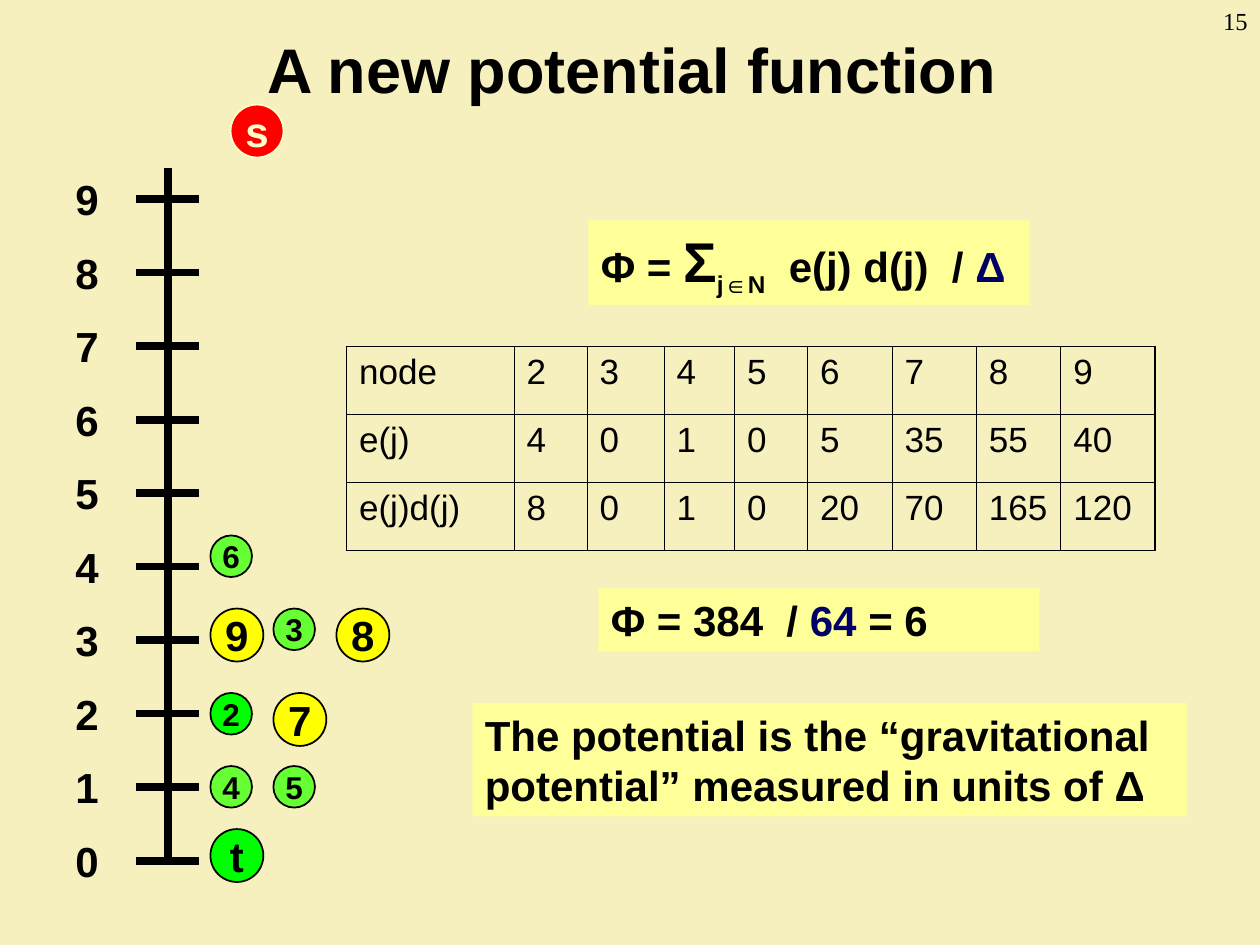
from dataclasses import dataclass

import pptx
import pptx.dml.color
import pptx.enum.shapes
import pptx.enum.text
import pptx.oxml
import pptx.oxml.ns
import pptx.util

Inches = pptx.util.Inches
Pt = pptx.util.Pt
RGBColor = pptx.dml.color.RGBColor
PP_ALIGN = pptx.enum.text.PP_ALIGN
MSO_ANCHOR = pptx.enum.text.MSO_ANCHOR
MSO_SHAPE = pptx.enum.shapes.MSO_SHAPE

BACKGROUND = RGBColor(0xF5, 0xF0, 0xBD)
BLACK = RGBColor(0x00, 0x00, 0x00)
NAVY = RGBColor(0x00, 0x00, 0x66)
RED = RGBColor(0xFF, 0x00, 0x00)
CREAM = RGBColor(0xFF, 0xFF, 0xCC)
GREEN = RGBColor(0x00, 0xFF, 0x00)
LIME = RGBColor(0x66, 0xFF, 0x33)
YELLOW = RGBColor(0xFF, 0xFF, 0x00)
PALE_YELLOW = RGBColor(0xFF, 0xFF, 0x99)

AXIS_X, AXIS_TOP, AXIS_BOTTOM = 1.33, 1.33, 6.83
LEVELS, LEVEL_STEP, TICK_HALF = 10, 7 / 12, 0.25
LARGE, SMALL = 0.42, 0.33
THIN, THICK = 0.45, 1.08


@dataclass
class Run:
    text: str
    size: int = 24
    color: RGBColor = BLACK
    baseline: int = 0


@dataclass
class Node:
    label: str
    left: float
    top: float
    diameter: float
    fill: RGBColor
    ink: RGBColor = BLACK


@dataclass
class Note:
    left: float
    top: float
    width: float
    height: float
    runs: list[Run]


NODES = [
    Node("t", 1.67, 6.58, LARGE, GREEN),
    Node("4", 1.67, 6.08, SMALL, LIME),
    Node("2", 1.67, 5.5, SMALL, GREEN),
    Node("s", 1.83, 0.83, LARGE, RED, CREAM),
    Node("7", 2.17, 5.5, LARGE, YELLOW),
    Node("9", 1.67, 4.83, LARGE, YELLOW),
    Node("6", 1.67, 4.25, SMALL, LIME),
    Node("3", 2.17, 4.83, SMALL, LIME),
    Node("8", 2.67, 4.83, LARGE, YELLOW),
    Node("5", 2.17, 6.08, SMALL, LIME),
]

NOTES = [
    Note(4.67, 1.75, 3.5, 0.67, [
        Run("Φ = "), Run("Σ", size=32), Run("j∈N", baseline=-25),
        Run("  e(j) d(j)  / "), Run("Δ", color=NAVY)]),
    Note(4.75, 4.67, 3.5, 0.5, [
        Run("Φ = 384  / "), Run("64 ", color=NAVY), Run("= 6")]),
    Note(3.75, 5.58, 5.67, 0.9, [
        Run("The potential is the “gravitational potential” measured in units of Δ")]),
]

COLUMN_WIDTHS = [1.33, 0.58, 0.61, 0.56, 0.58, 0.67, 0.67, 0.67, 0.75]
ROW_HEIGHT = 0.54
ROWS = [
    ["node", "2", "3", "4", "5", "6", "7", "8", "9"],
    ["e(j)", "4", "0", "1", "0", "5", "35", "55", "40"],
    ["e(j)d(j)", "8", "0", "1", "0", "20", "70", "165", "120"],
]


def add_text(p, text: str, *, size: int = 24, color: RGBColor = BLACK,
             bold: bool = True, font: str = "Arial", baseline: int = 0) -> None:
    r = p.add_run()
    r.text = text
    r.font.name = font
    r.font.size = Pt(size)
    r.font.bold = bold
    r.font.color.rgb = color
    if baseline:
        r.font._element.set("baseline", str(baseline * 1000))


def add_box(slide, left: float, top: float, width: float, height: float,
            text: str, *, align=PP_ALIGN.LEFT, anchor=MSO_ANCHOR.TOP, **style) -> None:
    sp = slide.shapes.add_textbox(Inches(left), Inches(top), Inches(width), Inches(height))
    tf = sp.text_frame
    tf.word_wrap = True
    tf.vertical_anchor = anchor
    p = tf.paragraphs[0]
    p.alignment = align
    add_text(p, text, **style)


def add_line(slide, x1: float, y1: float, x2: float, y2: float) -> None:
    line = slide.shapes.add_connector(
        pptx.enum.shapes.MSO_CONNECTOR.STRAIGHT,
        Inches(x1), Inches(y1), Inches(x2), Inches(y2))
    line.line.color.rgb = BLACK
    line.line.width = Pt(4.5)
    pptx.oxml.ns.qn("a:effectLst")
    line._element.spPr.append(pptx.oxml.parse_xml(
        f'<a:effectLst {pptx.oxml.ns.nsdecls("a")}/>'))


def add_scale(slide) -> None:
    add_line(slide, AXIS_X, AXIS_TOP, AXIS_X, AXIS_BOTTOM)
    for level in range(LEVELS):
        y = AXIS_BOTTOM - level * LEVEL_STEP
        add_line(slide, AXIS_X - TICK_HALF, y, AXIS_X + TICK_HALF, y)
        add_box(slide, 0.5, y - 0.25, 0.42, 0.5, str(level))


def add_node(slide, node: Node) -> None:
    sp = slide.shapes.add_shape(
        MSO_SHAPE.OVAL, Inches(node.left), Inches(node.top),
        Inches(node.diameter), Inches(node.diameter))
    sp.shadow.inherit = False
    sp.fill.solid()
    sp.fill.fore_color.rgb = node.fill
    sp.line.color.rgb = node.ink
    sp.line.width = Pt(1)
    tf = sp.text_frame
    tf.word_wrap = False
    tf.vertical_anchor = MSO_ANCHOR.MIDDLE
    p = tf.paragraphs[0]
    p.alignment = PP_ALIGN.CENTER
    add_text(p, node.label, size=24 if node.diameter == LARGE else 18, color=node.ink)


def add_note(slide, note: Note) -> None:
    sp = slide.shapes.add_shape(
        MSO_SHAPE.RECTANGLE, Inches(note.left), Inches(note.top),
        Inches(note.width), Inches(note.height))
    sp.shadow.inherit = False
    sp.fill.solid()
    sp.fill.fore_color.rgb = PALE_YELLOW
    sp.line.fill.background()
    tf = sp.text_frame
    tf.word_wrap = True
    tf.vertical_anchor = MSO_ANCHOR.TOP
    p = tf.paragraphs[0]
    p.alignment = PP_ALIGN.LEFT
    for run in note.runs:
        add_text(p, run.text, size=run.size, color=run.color, baseline=run.baseline)


def set_borders(cell, outer: dict[str, bool]) -> None:
    for side, is_outer in outer.items():
        width = Pt(THICK if is_outer else THIN)
        cell._tc.get_or_add_tcPr().append(pptx.oxml.parse_xml(
            f'<a:ln{side} {pptx.oxml.ns.nsdecls("a")} w="{width}">'
            f'<a:solidFill><a:srgbClr val="{BLACK}"/></a:solidFill></a:ln{side}>'))


def add_node_table(slide) -> None:
    last_row, last_col = len(ROWS) - 1, len(COLUMN_WIDTHS) - 1
    table = slide.shapes.add_table(
        len(ROWS), len(COLUMN_WIDTHS), Inches(2.75), Inches(2.75),
        Inches(sum(COLUMN_WIDTHS)), Inches(ROW_HEIGHT * len(ROWS))).table
    table.first_row = table.horz_banding = False
    for column, width in zip(table.columns, COLUMN_WIDTHS):
        column.width = Inches(width)
    for i, values in enumerate(ROWS):
        table.rows[i].height = Inches(ROW_HEIGHT)
        for j, value in enumerate(values):
            cell = table.cell(i, j)
            set_borders(cell, {"L": j == 0, "R": j == last_col, "T": i == 0, "B": i == last_row})
            cell.fill.background()
            add_text(cell.text_frame.paragraphs[0], value, size=20, bold=False)


def main() -> None:
    """Build the potential function slide."""
    prs = pptx.Presentation()
    prs.slide_width, prs.slide_height = Inches(10), Inches(7.5)
    slide = prs.slides.add_slide(prs.slide_layouts[6])
    slide.background.fill.solid()
    slide.background.fill.fore_color.rgb = BACKGROUND
    add_box(slide, 0.42, 0.33, 9.33, 0.42, "A new potential function ",
            align=PP_ALIGN.CENTER, anchor=MSO_ANCHOR.MIDDLE, size=36)
    add_scale(slide)
    for node in NODES:
        add_node(slide, node)
    add_node_table(slide)
    for note in NOTES:
        add_note(slide, note)
    add_box(slide, 9.17, 0, 0.83, 0.5, "15", align=PP_ALIGN.RIGHT,
            size=14, bold=False, font="Times New Roman")
    prs.save("out.pptx")


if __name__ == "__main__":
    main()
